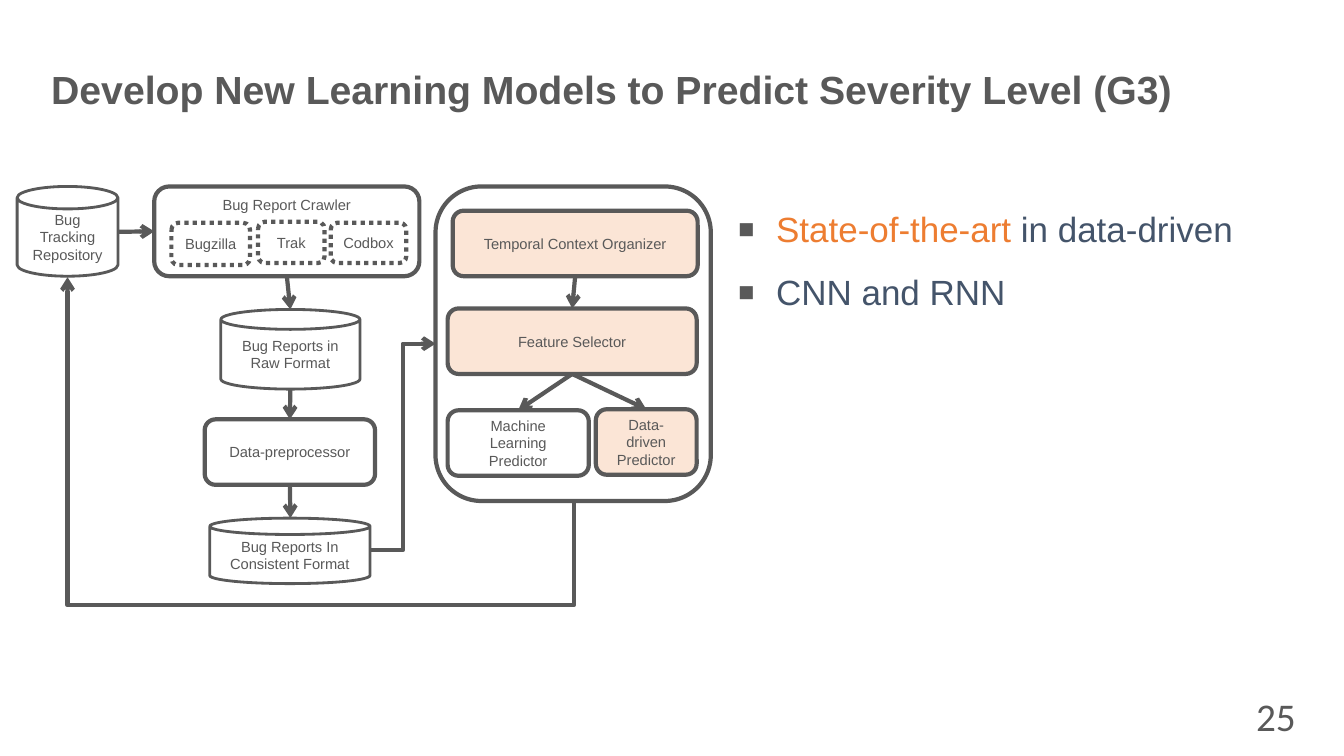
"""Build the slide on new learning models that predict bug severity."""
from dataclasses import dataclass
from lxml import etree
from pptx import Presentation
from pptx.dml.color import RGBColor
from pptx.enum.dml import MSO_LINE
from pptx.enum.shapes import MSO_CONNECTOR, MSO_SHAPE
from pptx.enum.text import MSO_ANCHOR, PP_ALIGN
from pptx.oxml.ns import qn
from pptx.util import Inches, Pt

CAN, ROUND = MSO_SHAPE.CAN, MSO_SHAPE.ROUNDED_RECTANGLE
STRAIGHT, ELBOW = MSO_CONNECTOR.STRAIGHT, MSO_CONNECTOR.ELBOW
LEFT, CENTER, RIGHT = PP_ALIGN.LEFT, PP_ALIGN.CENTER, PP_ALIGN.RIGHT
TOP, MIDDLE = MSO_ANCHOR.TOP, MSO_ANCHOR.MIDDLE
DOTS = MSO_LINE.ROUND_DOT


@dataclass(frozen=True)
class Theme:
    gray: str = "595959"
    white: str = "FFFFFF"
    peach: str = "FBE5D6"
    orange: str = "ED7D31"
    navy: str = "44546A"
    label: float = 10.5
    body: float = 25
    title: float = 28
    font: str = "Arial"
    digits: str = "Calibri"


theme = Theme()


def write(shape, text, size=theme.label, color=theme.gray, font=theme.font,
          bold=False, align=LEFT, anchor=MIDDLE, space=None, bullet=None, lead=None):
    """Fill a shape with text; lead maps opening words to their own colour."""
    frame = shape.text_frame
    frame.word_wrap = True
    frame.vertical_anchor = anchor
    for i, line in enumerate(text.split("\n")):
        para = frame.paragraphs[0] if i == 0 else frame.add_paragraph()
        para.alignment = align
        para.line_spacing = space
        if bullet:
            props = para._p.get_or_add_pPr()
            props.set("marL", str(Inches(0.38)))
            props.set("indent", str(-Inches(0.38)))
            tint = etree.SubElement(props, qn("a:buClr"))
            etree.SubElement(tint, qn("a:srgbClr"), val=theme.gray)
            etree.SubElement(props, qn("a:buSzPct"), val="150000")
            etree.SubElement(props, qn("a:buFont"), typeface=theme.font)
            etree.SubElement(props, qn("a:buChar"), char=bullet)
        parts = [(line, color)]
        for words, hue in (lead or {}).items():
            if line.startswith(words):
                parts = [(words, hue), (line[len(words):], color)]
        for words, hue in parts:
            run = para.add_run()
            run.text = words
            run.font.size = Pt(size)
            run.font.name = font
            run.font.bold = bold
            run.font.color.rgb = RGBColor.from_string(hue)


def link(kind, *ends):
    """Draw a connector with an open arrowhead at its end."""
    wire = slide.shapes.add_connector(kind, *map(Inches, ends))
    wire.line.color.rgb = RGBColor.from_string(theme.gray)
    wire.line.width = Pt(3)
    etree.SubElement(wire.line._get_or_add_ln(), qn("a:tailEnd"), type="arrow")
    etree.SubElement(wire._element.spPr, qn("a:effectLst"))
    return wire


deck = Presentation()
deck.slide_width, deck.slide_height = Inches(13.33), Inches(7.5)
slide = deck.slides.add_slide(deck.slide_layouts[6])

texts = [
    ((7.22, 1.8, 5.96, 1.29), "State-of-the-art in data-driven\nCNN and RNN",
     dict(size=theme.body, color=theme.navy, anchor=TOP, space=1.5, bullet="▪",
          lead={"State-of-the-art": theme.orange})),
    ((0.41, 0.4, 12.77, 1.02),
     "Develop New Learning Models to Predict Severity Level (G3)",
     dict(size=theme.title, bold=True, space=0.9)),
    ((11.91, 6.9, 1.04, 0.4), "25",
     dict(size=theme.title, font=theme.digits, align=RIGHT)),
]
for place, text, style in texts:
    write(slide.shapes.add_textbox(*map(Inches, place)), text, **style)

nodes = [
    ("repo", CAN, (0.17, 1.85, 1, 0.89), theme.white, "Bug Tracking Repository"),
    ("crawler", ROUND, (1.53, 1.85, 2.63, 0.89), None, "Bug Report Crawler"),
    ("site1", ROUND, (1.7, 2.21, 0.78, 0.42), theme.white, "Bugzilla"),
    ("site2", ROUND, (2.56, 2.2, 0.66, 0.41), theme.white, "Trak"),
    ("site3", ROUND, (3.28, 2.21, 0.75, 0.4), theme.white, "Codbox"),
    ("raw", CAN, (2.19, 3.07, 1.38, 0.79), theme.white, "Bug Reports in Raw Format"),
    ("prep", ROUND, (2.03, 4.16, 1.69, 0.65), None, "Data-preprocessor"),
    ("clean", CAN, (2.08, 5.14, 1.59, 0.65), theme.white,
     "Bug Reports In Consistent Format"),
    ("model", ROUND, (4.32, 1.85, 2.73, 3.12), theme.white, ""),
    ("time", ROUND, (4.49, 2.09, 2.43, 0.65), theme.peach, "Temporal Context Organizer"),
    ("select", ROUND, (4.44, 3.06, 2.47, 0.65), theme.peach, "Feature Selector"),
    ("machine", ROUND, (4.44, 4.07, 1.4, 0.65), None, "Machine Learning\nPredictor"),
    ("data", ROUND, (5.91, 4.06, 1, 0.65), theme.peach, "Data-driven\nPredictor"),
]
boxes = {}
for name, kind, place, fill, text in nodes:
    box = boxes[name] = slide.shapes.add_shape(kind, *map(Inches, place))
    box.shadow.inherit = False
    if fill:
        box.fill.solid()
        box.fill.fore_color.rgb = RGBColor.from_string(fill)
    else:
        box.fill.background()
    box.line.color.rgb = RGBColor.from_string(theme.gray)
    box.line.width = Pt(2 if kind == CAN else 3)
    if name.startswith("site"):
        box.line.dash_style = DOTS
    if text:
        write(box, text, align=CENTER, anchor=TOP if name == "crawler" else MIDDLE)

arrows = [
    ((1.17, 2.3, 1.53, 2.3), None, ("crawler", 1)),
    ((2.84, 2.74, 2.88, 3.07), ("crawler", 2), None),
    ((2.88, 3.86, 2.88, 4.16), None, ("prep", 0)),
    ((2.88, 4.81, 2.88, 5.14), ("prep", 2), None),
    ((5.7, 2.74, 5.67, 3.06), ("time", 2), ("select", 0)),
    ((5.67, 3.71, 5.14, 4.07), ("select", 2), ("machine", 0)),
    ((5.67, 3.71, 6.41, 4.06), ("select", 2), ("data", 0)),
]
for ends, start, stop in arrows:
    wire = link(STRAIGHT, *ends)
    if start:
        wire.begin_connect(boxes[start[0]], start[1])
    if stop:
        wire.end_connect(boxes[stop[0]], stop[1])

link(ELBOW, 3.67, 5.46, 4.32, 3.41)
loop = link(ELBOW, 4.29, 1.35, 2.07, 6.37)
props = loop._element.spPr
props.find(qn("a:xfrm")).set("rot", "5400000")
guides = props.find(qn("a:prstGeom")).find(qn("a:avLst"))
etree.SubElement(guides, qn("a:gd"), name="adj1", fmla="val -46600")

deck.save("out.pptx")
